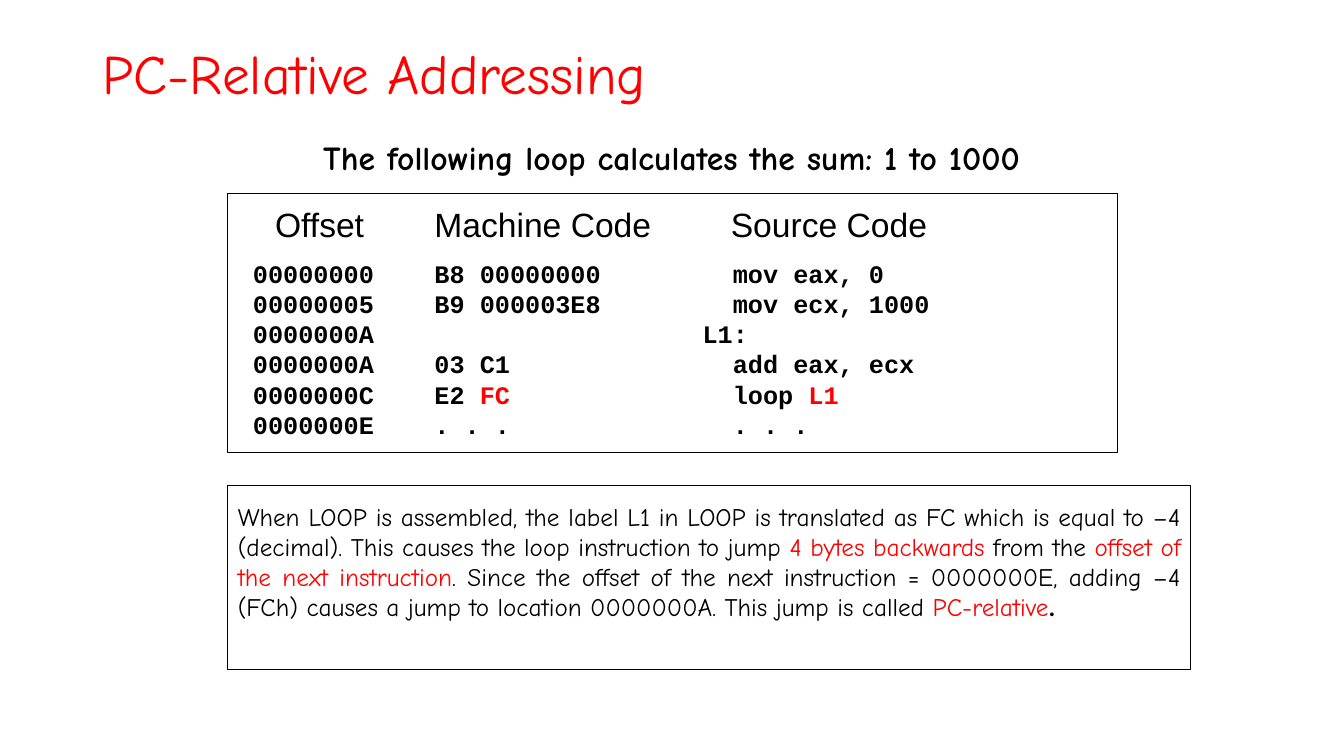
from pptx import Presentation
from pptx.dml.color import RGBColor
from pptx.enum.shapes import MSO_SHAPE
from pptx.enum.text import MSO_ANCHOR, PP_ALIGN
from pptx.oxml.ns import qn
from pptx.util import Inches, Pt
from lxml import etree

RECTANGLE = MSO_SHAPE.RECTANGLE
TOP, MIDDLE = MSO_ANCHOR.TOP, MSO_ANCHOR.MIDDLE
LEFT, CENTER, JUSTIFY = PP_ALIGN.LEFT, PP_ALIGN.CENTER, PP_ALIGN.JUSTIFY

COLORS = {"black": "000000", "red": "FF0000"}
COMIC = "Comic Neue"
HEADER_TABS = (0.37, 1.95, 4.89)
CODE_TABS = (0.15, 1.95, 4.61)

HEADER = ("Offset", "Machine Code", "Source Code")
# Text between asterisks is red.
LISTING = [
    ("00000000", "B8 00000000", "  mov eax, 0"),
    ("00000005", "B9 000003E8", "  mov ecx, 1000"),
    ("0000000A", "", "L1:"),
    ("0000000A", "03 C1", "  add eax, ecx"),
    ("0000000C", "E2 *FC*", "  loop *L1*"),
    ("0000000E", ". . .", "  . . ."),
]
EXPLANATION = (
    "When LOOP is assembled, the label L1 in LOOP is translated as FC which is "
    "equal to –4 (decimal). This causes the loop instruction to jump "
    "*4 bytes backwards* from the *offset of the next instruction*. Since the "
    "offset of the next instruction = 0000000E, adding –4 (FCh) causes a jump "
    "to location 0000000A. This jump is called *PC-relative*"
)


def rgb(name):
    return RGBColor.from_string(COLORS[name])


def set_attributes(target, values):
    for name, value in values.items():
        setattr(target, name, value)


def add_text(paragraph, text, font, size, color="black", bold=False):
    """Add runs to the paragraph; parts between asterisks become red."""
    for index, part in enumerate(text.split("*")):
        if part:
            run = paragraph.add_run()
            run.text = part
            set_attributes(run.font, {"name": font, "size": Pt(size), "bold": bold})
            run.font.color.rgb = rgb("red" if index % 2 else color)


def add_tabs(paragraph, positions):
    tab_list = etree.SubElement(paragraph._p.get_or_add_pPr(), qn("a:tabLst"))
    for position in positions:
        etree.SubElement(tab_list, qn("a:tab"), pos=str(Inches(position)), algn="l")


def set_frame(shape, margin, anchor=TOP):
    set_attributes(shape.text_frame, {
        "word_wrap": True, "vertical_anchor": anchor,
        "margin_left": Inches(0.1), "margin_right": Inches(0.1),
        "margin_top": Inches(margin), "margin_bottom": Inches(margin),
    })
    return shape.text_frame


def add_label(slide, box, margin, anchor=TOP):
    shape = slide.shapes.add_textbox(*map(Inches, box))
    return set_frame(shape, margin, anchor)


def add_outlined_box(slide, box, margin):
    shape = slide.shapes.add_shape(RECTANGLE, *map(Inches, box))
    shape.shadow.inherit = False
    shape.fill.background()
    shape.line.color.rgb = rgb("black")
    shape.line.width = Pt(0.75)
    return set_frame(shape, margin)


def add_columns(paragraph, cells, tabs, line_height, font, size, bold=False):
    """Write one listing row, each cell on its own tab stop."""
    set_attributes(paragraph, {"alignment": LEFT, "line_spacing": Pt(line_height)})
    add_tabs(paragraph, tabs)
    add_text(paragraph, "\t" + "\t".join(cells), font, size, bold=bold)


def add_listing(slide):
    frame = add_outlined_box(slide, (2.26, 1.92, 8.82, 2.57), 0.1)
    add_columns(frame.paragraphs[0], HEADER, HEADER_TABS, 28.8, "Arial", 24)
    for index, row in enumerate(LISTING):
        paragraph = frame.add_paragraph()
        if index == 0:
            paragraph.space_before = Pt(10)
        add_columns(paragraph, row, CODE_TABS, 21.6, "Courier New", 18, bold=True)


def main():
    presentation = Presentation()
    presentation.slide_width = Inches(13.33)
    presentation.slide_height = Inches(7.5)
    slide = presentation.slides.add_slide(presentation.slide_layouts[6])

    title = add_label(slide, (0.92, 0.4, 11.5, 0.71), 0.05, MIDDLE).paragraphs[0]
    title.line_spacing = 0.9
    add_text(title, "PC-Relative Addressing", COMIC, 39.6, "red")

    subtitle = add_label(slide, (2.19, 1.21, 8.94, 0.71), 0.15).paragraphs[0]
    subtitle.alignment = CENTER
    add_text(subtitle, "The following loop calculates the sum: 1 to 1000",
             COMIC, 24, bold=True)

    explanation = add_outlined_box(slide, (2.26, 4.82, 9.55, 1.82), 0.15).paragraphs[0]
    explanation.alignment = JUSTIFY
    add_text(explanation, EXPLANATION, COMIC, 18)
    add_text(explanation, ".", "Calibri", 18, bold=True)

    add_listing(slide)
    presentation.save("out.pptx")


if __name__ == "__main__":
    main()
